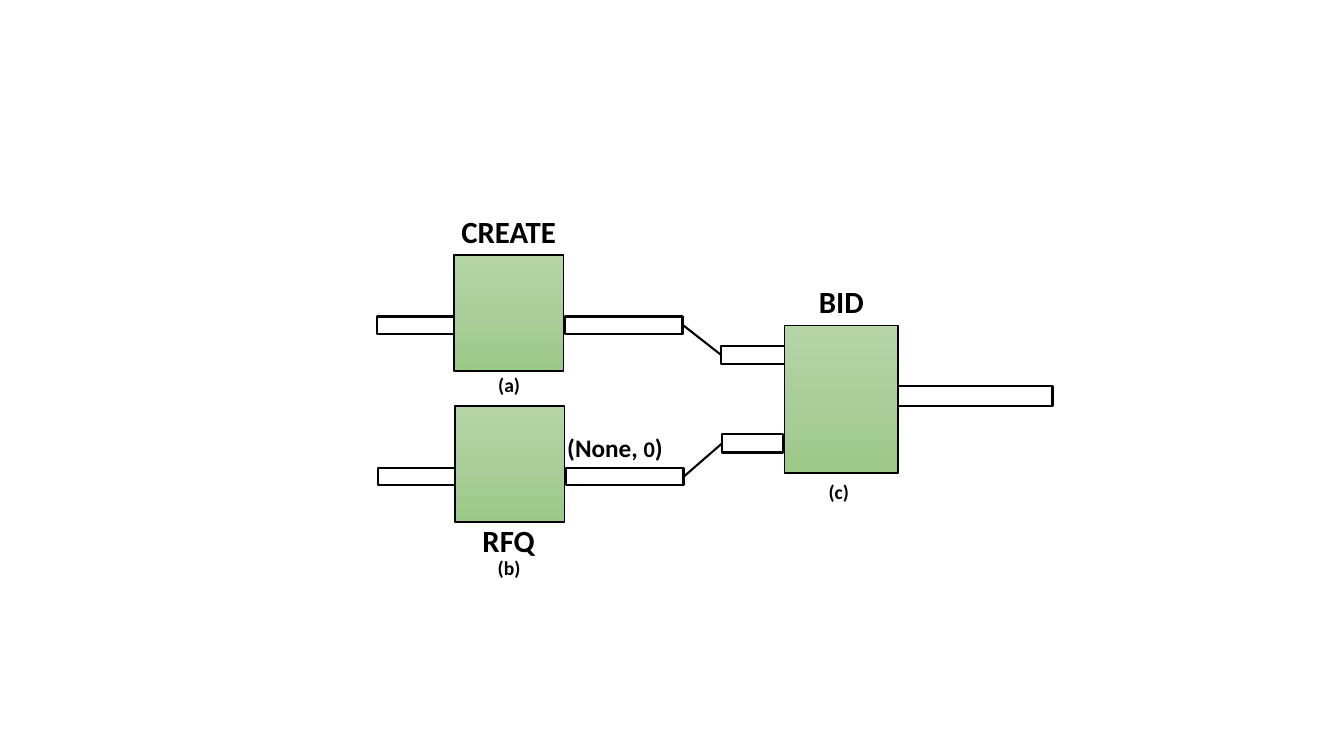
from copy import deepcopy
from dataclasses import dataclass

from pptx import Presentation
from pptx.dml.color import RGBColor
from pptx.enum.shapes import MSO_CONNECTOR, MSO_SHAPE
from pptx.enum.text import MSO_AUTO_SIZE, PP_ALIGN
from pptx.oxml.ns import qn
from pptx.util import Emu, Pt
from lxml.etree import SubElement


@dataclass(frozen=True)
class Theme:
    """Colours, font and sizes of the diagram."""
    ink: str = "000000"
    paper: str = "FFFFFF"
    greens: tuple = ("B5D5A7", "AACE9A", "9CC987")
    font: str = "Calibri"
    title: int = 22
    pair: int = 18
    digit: int = 16
    tag: int = 14
    edge: float = 1.25
    wire: float = 1.5


def px(n):
    """Turn px, at 100 to the inch, into EMU."""
    return Emu(n * 9144)


class Sketch:
    """Draws blocks, pipes, wires and labels on one slide."""

    def __init__(self, slide, theme):
        self.slide = slide
        self.theme = theme

    def ink(self, line, width):
        line.color.rgb = RGBColor.from_string(self.theme.ink)
        line.width = Pt(width)

    def rect(self, x, y, w, h, width):
        shape = self.slide.shapes.add_shape(
            MSO_SHAPE.RECTANGLE, px(x), px(y), px(w), px(h))
        shape.shadow.inherit = False
        self.ink(shape.line, width)
        return shape

    def pipe(self, x, y, w, h):
        fill = self.rect(x, y, w, h, self.theme.wire).fill
        fill.solid()
        fill.fore_color.rgb = RGBColor.from_string(self.theme.paper)

    def block(self, x, y, w, h):
        shape = self.rect(x, y, w, h, self.theme.edge)
        fill = shape.fill
        fill.gradient()
        fill.gradient_angle = 270
        stops = shape.element.spPr.find(".//" + qn("a:gsLst"))
        stops.insert(1, deepcopy(stops[0]))
        for i, (stop, green) in enumerate(
                zip(fill.gradient_stops, self.theme.greens)):
            stop.position = i / 2
            stop.color.rgb = RGBColor.from_string(green)

    def wire(self, x, y, to_x, to_y):
        line = self.slide.shapes.add_connector(
            MSO_CONNECTOR.STRAIGHT, px(x), px(y), px(to_x), px(to_y))
        self.ink(line.line, self.theme.wire)
        SubElement(line.element.spPr, qn("a:effectLst"))

    def label(self, x, y, w, h, *parts):
        frame = self.slide.shapes.add_textbox(
            px(x), px(y), px(w), px(h)).text_frame
        frame.word_wrap = False
        frame.auto_size = MSO_AUTO_SIZE.SHAPE_TO_FIT_TEXT
        para = frame.paragraphs[0]
        para.alignment = PP_ALIGN.CENTER
        for text, size in parts:
            run = para.add_run()
            run.text = text
            font = run.font
            font.name = self.theme.font
            font.size = Pt(size)
            font.bold = True
            font.color.rgb = RGBColor.from_string(self.theme.ink)


def main():
    """Build the slide and save it."""
    deck = Presentation()
    deck.slide_width, deck.slide_height = px(1333), px(750)
    theme = Theme()
    art = Sketch(deck.slides.add_slide(deck.slide_layouts[6]), theme)

    for x, y in ((450, 253), (451, 403)):
        art.block(x, y, 109, 115)
        art.pipe(x - 76, y + 61, 76, 17)
        art.pipe(x + 110, y + 61, 117, 17)

    for x, y, w, start in ((715, 343, 65, 323), (716, 431, 61, 473)):
        art.pipe(x, y, w, 18)
        art.wire(678, start, x, y + 9)
    art.pipe(891, 383, 153, 20)
    art.block(778, 323, 113, 146)

    for text, x, y, w in (("CREATE", 447, 206, 115), ("BID", 802, 276, 65),
                          ("RFQ", 468, 513, 73)):
        art.label(x, y, w, 47, (text, theme.title))
    art.label(552, 424, 116, 40, ("(None, ", theme.pair),
              ("0", theme.digit), (")", theme.pair))
    for text, x, y in (("(a)", 483, 365), ("(b)", 483, 547),
                       ("(c)", 810, 471)):
        art.label(x, y, 44, 34, (text, theme.tag))

    deck.save("out.pptx")


if __name__ == "__main__":
    main()
